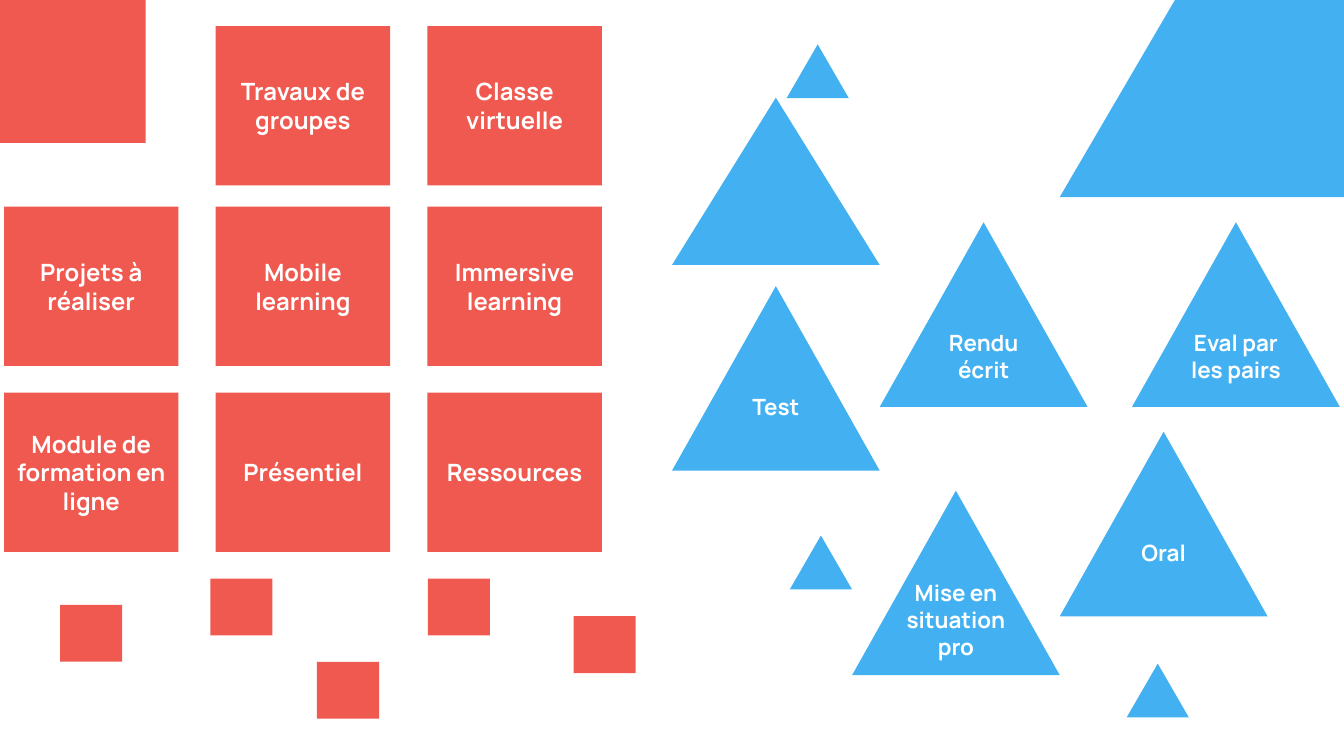
from pptx import Presentation
from pptx.dml.color import RGBColor
from pptx.enum import shapes, text
from pptx.util import Pt

RED = RGBColor(0xEF, 0x59, 0x50)
BLUE = RGBColor(0x43, 0xB1, 0xF1)
WHITE = RGBColor(0xFF, 0xFF, 0xFF)
FONT = "Manrope"

CARD_SIZE = (124.6, 113.8)
CARD_LEFT, CARD_STEP = 2.9, 151.2
CARD_ROWS = [
    (18.6, [None, "Travaux de groupes", "Classe virtuelle"]),
    (147.6, ["Projets à réaliser", "Mobile learning", "Immersive learning"]),
    (280.4, ["Module de formation en ligne", "Présentiel", "Ressources"]),
]
SMALL_SQUARE = (44.4, 40.6)
SMALL_SQUARES = [(42.9, 432), (150.3, 413.3), (226.4, 472.8), (305.6, 413.3), (409.7, 440.2)]

TRIANGLE_SIZE = (148.4, 131.8)
LABEL_WIDTH = 93
LABEL_DROP = 72.8
TRIANGLES = [
    ("Test", 480, 204.4, LABEL_DROP, 26.6),
    ("Rendu écrit", 628.4, 158.8, LABEL_DROP, 46),
    ("Eval par les pairs", 808.6, 158.8, LABEL_DROP, 46),
    ("Mise en situation pro", 608.6, 350.5, 59.2, 65.5),
    ("Oral", 757, 308.4, LABEL_DROP, 26.6),
]
SMALL_TRIANGLE = (44.4, 38.4)
SMALL_TRIANGLES = [(561.9, 31.7), (564.2, 382.5), (804.8, 474)]


def add_block(container, kind, left, top, size, color):
    width, height = size
    shape = container.add_shape(kind, Pt(left), Pt(top), Pt(width), Pt(height))
    shape.shadow.inherit = False
    shape.fill.solid()
    shape.fill.fore_color.rgb = color
    shape.line.fill.background()
    return shape


def add_square(container, left, top, size):
    return add_block(container, shapes.MSO_SHAPE.RECTANGLE, left, top, size, RED)


def add_triangle(container, left, top, size):
    return add_block(container, shapes.MSO_SHAPE.ISOSCELES_TRIANGLE, left, top, size, BLUE)


def write_label(shape, label, size):
    frame = shape.text_frame
    frame.word_wrap = True
    frame.vertical_anchor = text.MSO_ANCHOR.MIDDLE
    paragraph = frame.paragraphs[0]
    paragraph.text = label
    paragraph.alignment = text.PP_ALIGN.CENTER
    paragraph.font.name = FONT
    paragraph.font.size = Pt(size)
    paragraph.font.bold = True
    paragraph.font.color.rgb = WHITE


def add_labelled_triangle(slide, label, left, top, drop, label_height):
    group = slide.shapes.add_group_shape()
    add_triangle(group.shapes, left, top, TRIANGLE_SIZE)
    label_left = left + (TRIANGLE_SIZE[0] - LABEL_WIDTH) / 2
    box = group.shapes.add_textbox(
        Pt(label_left), Pt(top + drop), Pt(LABEL_WIDTH), Pt(label_height))
    write_label(box, label, 16)


def add_cards(slide):
    for top, labels in CARD_ROWS:
        for column, label in enumerate(labels):
            if label:
                left = CARD_LEFT + column * CARD_STEP
                write_label(add_square(slide.shapes, left, top, CARD_SIZE), label, 17)


def main():
    presentation = Presentation()
    presentation.slide_width = Pt(960)
    presentation.slide_height = Pt(540)
    slide = presentation.slides.add_slide(presentation.slide_layouts[6])

    add_square(slide.shapes, -52.6, -41, (156.6, 143))
    add_cards(slide)
    for left, top in SMALL_SQUARES:
        add_square(slide.shapes, left, top, SMALL_SQUARE)

    add_triangle(slide.shapes, 757, -126, (311.8, 266.8))
    add_triangle(slide.shapes, 480, 69.8, (148.4, 119.5))
    for triangle in TRIANGLES:
        add_labelled_triangle(slide, *triangle)
    for left, top in SMALL_TRIANGLES:
        add_triangle(slide.shapes, left, top, SMALL_TRIANGLE)

    presentation.save("out.pptx")


if __name__ == "__main__":
    main()
